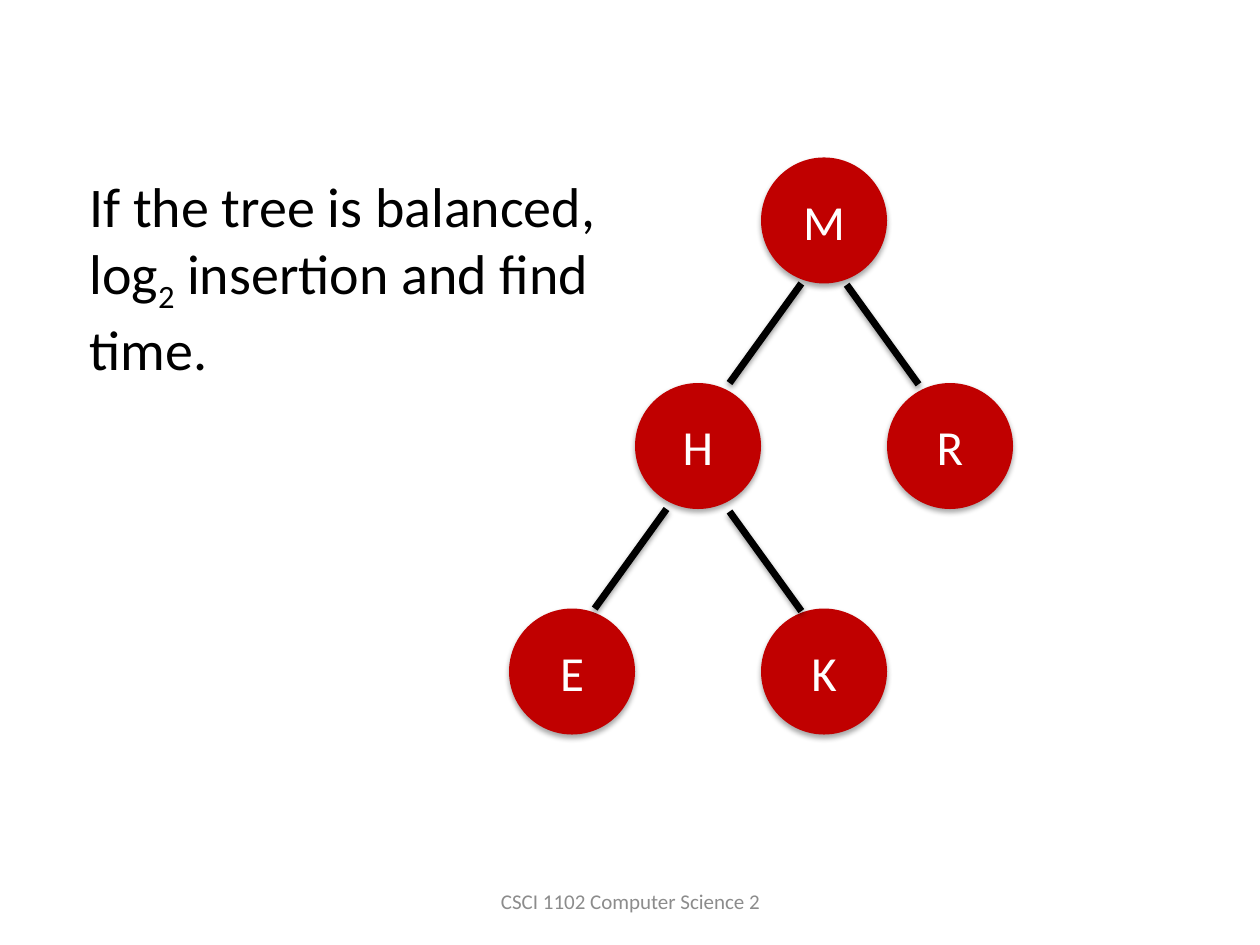
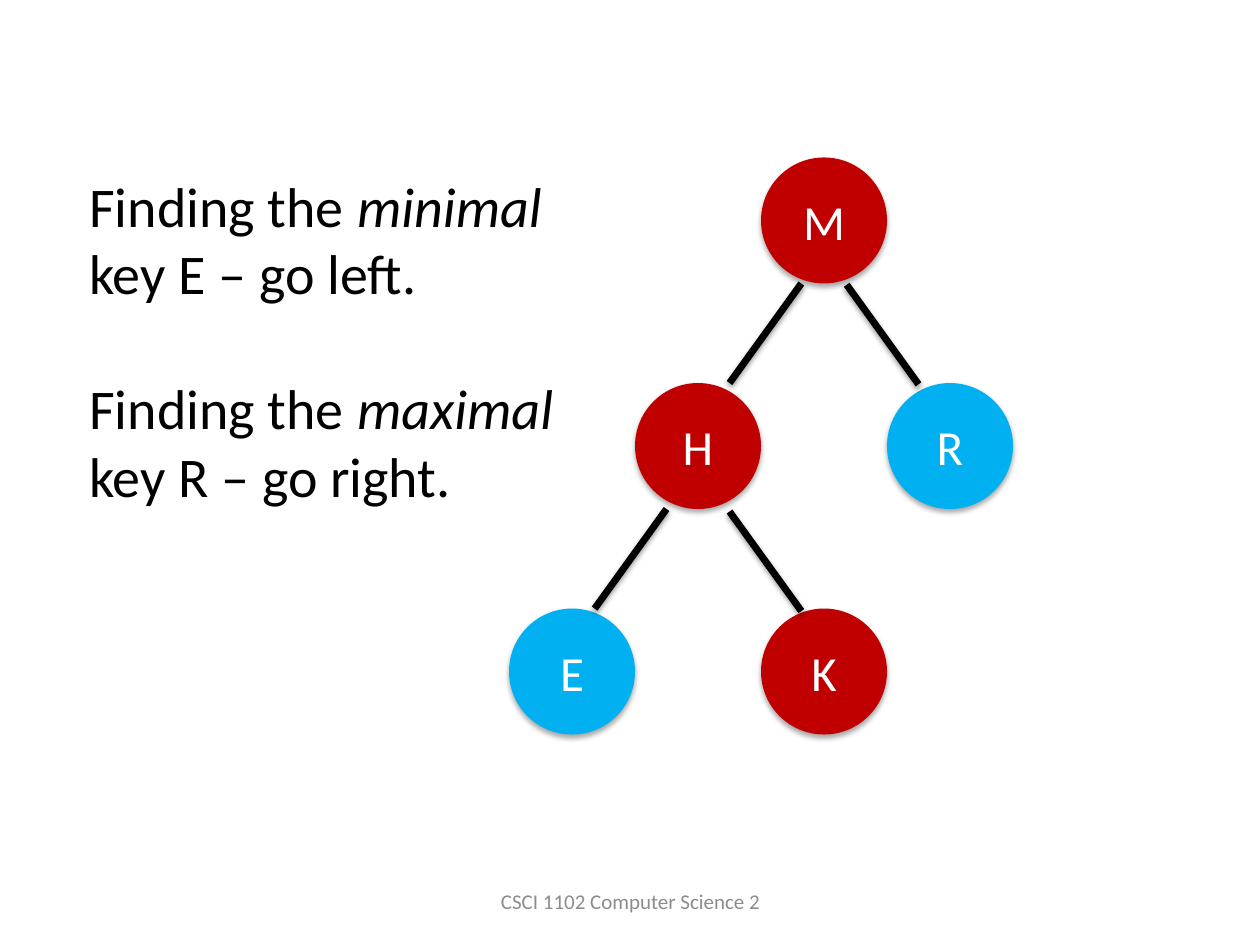
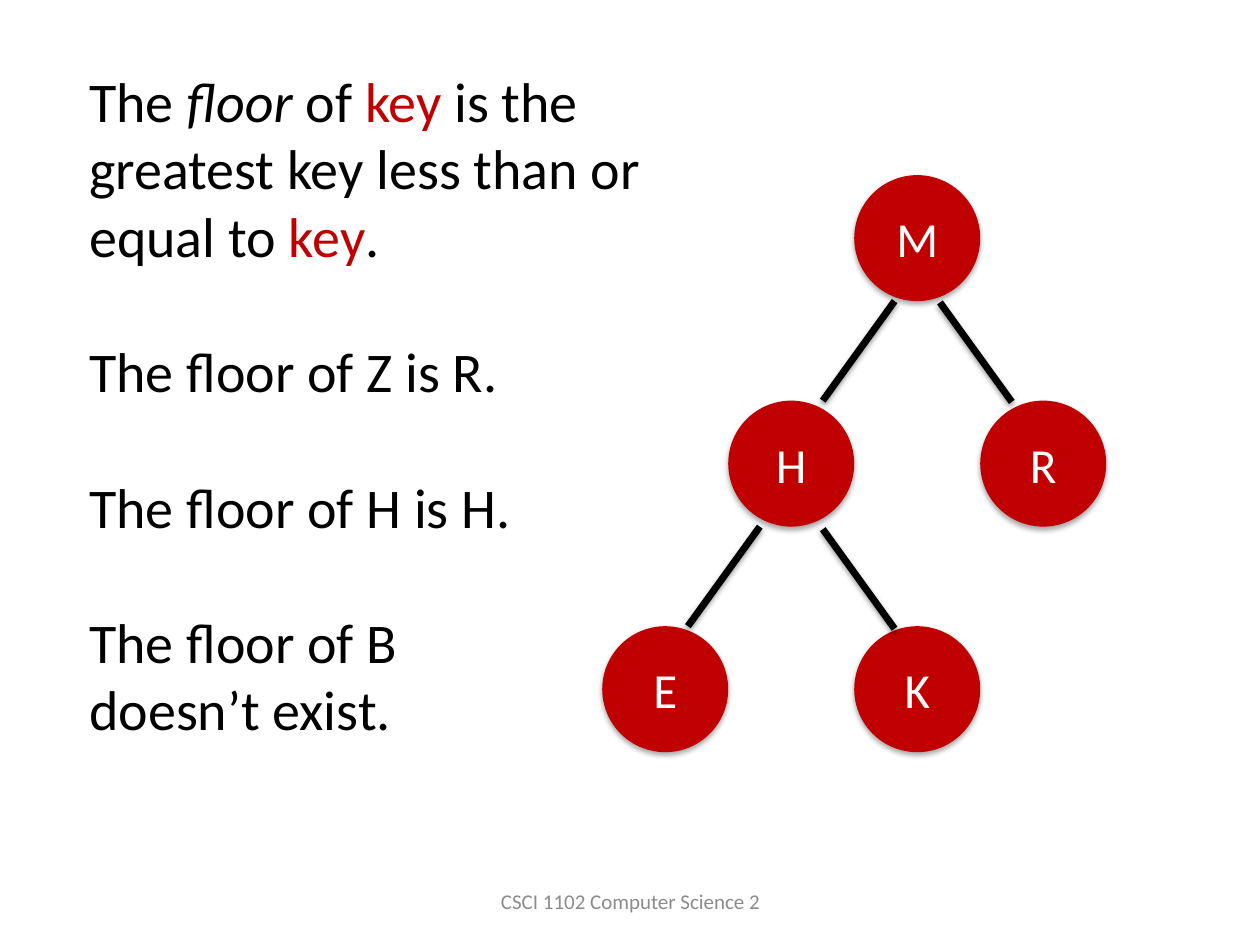
from lxml import etree
from pptx import Presentation
from pptx.dml.color import RGBColor
from pptx.enum.shapes import MSO_CONNECTOR, MSO_SHAPE
from pptx.enum.text import MSO_ANCHOR, MSO_AUTO_SIZE, PP_ALIGN
from pptx.oxml.ns import qn
from pptx.util import Inches, Pt

LINE, OVAL = MSO_CONNECTOR.STRAIGHT, MSO_SHAPE.OVAL
MIDDLE, CENTER = MSO_ANCHOR.MIDDLE, PP_ALIGN.CENTER
GROW = MSO_AUTO_SIZE.SHAPE_TO_FIT_TEXT

HEX = {"red": "C00000", "blue": "00B0F0", "black": "000000",
       "white": "FFFFFF", "gray": "8C8C8C"}
RGB = {name: RGBColor.from_string(code) for name, code in HEX.items()}
FONT = "Calibri"
FOOTER = "CSCI 1102 Computer Science 2"
GAP = Pt(39)  # one line of body text

# Tree shape: columns and rows from the root, then edges as
# (parent, start x, start y, direction) measured from the parent's corner
ROW = 1.79
NODES = {"M": (0, 0), "H": (-1, 1), "E": (-2, 2), "R": (1, 1), "K": (0, 2)}
EDGES = [("M", 0.32, 1, -1), ("H", 0.25, 1, -1),
         ("H", 0.75, 1.02, 1), ("M", 0.68, 1.01, 1)]
RUN, DROP = 0.57, 0.79

# Each paragraph: (space before, [(text, style), ...])
SLIDES = [
    {"root": (6.04, 1.25), "box": (0.61, 1.31, 4.39, 1.72), "blue": "",
     "text": [(0, [("If the tree is balanced, log", ""), ("2", "sub"),
                   (" insertion and find time.", "")])]},
    {"root": (6.04, 1.25), "box": (0.61, 1.31, 4.39, 2.79), "blue": "ER",
     "text": [(0, [("Finding the ", ""), ("minimal", "italic"),
                   (" key E – go left.", "")]),
              (GAP, [("Finding the ", ""), ("maximal", "italic"),
                     (" key R – go right.", "")])]},
    {"root": (6.78, 1.39), "box": (0.61, 0.48, 4.68, 5.49), "blue": "",
     "text": [(0, [("The ", ""), ("floor", "italic"), (" of ", ""),
                   ("key", "red"),
                   (" is the greatest key less than or equal to ", ""),
                   ("key", "red"), (".", "")]),
              (GAP, [("The floor of Z is R.", "")]),
              (GAP, [("The floor of H is H.", "")]),
              (GAP, [("The floor of B", "")]),
              (0, [("doesn’t exist.", "")])]},
]


def style(para, size, color):
    para.font.name = FONT
    para.font.size = Pt(size)
    para.font.color.rgb = RGB[color]


def shade(shape, dist, alpha):
    """Add a soft shadow falling straight down."""
    effects = etree.SubElement(shape._element.spPr, qn("a:effectLst"))
    outer = etree.SubElement(effects, qn("a:outerShdw"), blurRad="40000",
                             dist=str(dist), dir="5400000", rotWithShape="0")
    tint = etree.SubElement(outer, qn("a:srgbClr"), val=HEX["black"])
    etree.SubElement(tint, qn("a:alpha"), val=str(alpha * 1000))


prs = Presentation()
prs.slide_width, prs.slide_height = Inches(10), Inches(7.5)
blank = prs.slide_layouts[6]

for data in SLIDES:
    slide = prs.slides.add_slide(blank)

    # Footer
    box = slide.shapes.add_textbox(Inches(3.42), Inches(6.95),
                                   Inches(3.17), Inches(0.4))
    frame = box.text_frame
    frame.word_wrap = True
    frame.vertical_anchor = MIDDLE
    para = frame.paragraphs[0]
    para.text = FOOTER
    para.alignment = CENTER
    style(para, 12, "gray")

    # Tree nodes
    tree = slide.shapes.add_group_shape().shapes
    left, top = data["root"]
    spots = {key: (left + col, top + row * ROW)
             for key, (col, row) in NODES.items()}
    for key, (x, y) in spots.items():
        node = tree.add_shape(OVAL, Inches(x), Inches(y), Inches(1), Inches(1))
        node.fill.solid()
        node.fill.fore_color.rgb = RGB["blue" if key in data["blue"] else "red"]
        node.line.fill.background()
        shade(node, 23000, 35)
        node.text_frame.vertical_anchor = MIDDLE
        para = node.text_frame.paragraphs[0]
        para.text = key
        para.alignment = CENTER
        style(para, 28, "white")

    # Tree edges
    for key, dx, dy, side in EDGES:
        x, y = spots[key][0] + dx, spots[key][1] + dy
        edge = tree.add_connector(LINE, Inches(x), Inches(y),
                                  Inches(x + side * RUN), Inches(y + DROP))
        edge.line.width = Pt(4)
        edge.line.color.rgb = RGB["black"]
        shade(edge, 20000, 38)

    # Body text
    box = slide.shapes.add_textbox(*[Inches(n) for n in data["box"]])
    frame = box.text_frame
    frame.word_wrap = True
    frame.auto_size = GROW
    for i, (space, runs) in enumerate(data["text"]):
        para = frame.add_paragraph() if i else frame.paragraphs[0]
        para.space_before = space
        style(para, 32, "black")
        for text, look in runs:
            run = para.add_run()
            run.text = text
            if look == "italic":
                run.font.italic = True
            elif look == "red":
                run.font.color.rgb = RGB["red"]
            elif look == "sub":
                run._r.get_or_add_rPr().set("baseline", "-25000")

prs.save("out.pptx")
